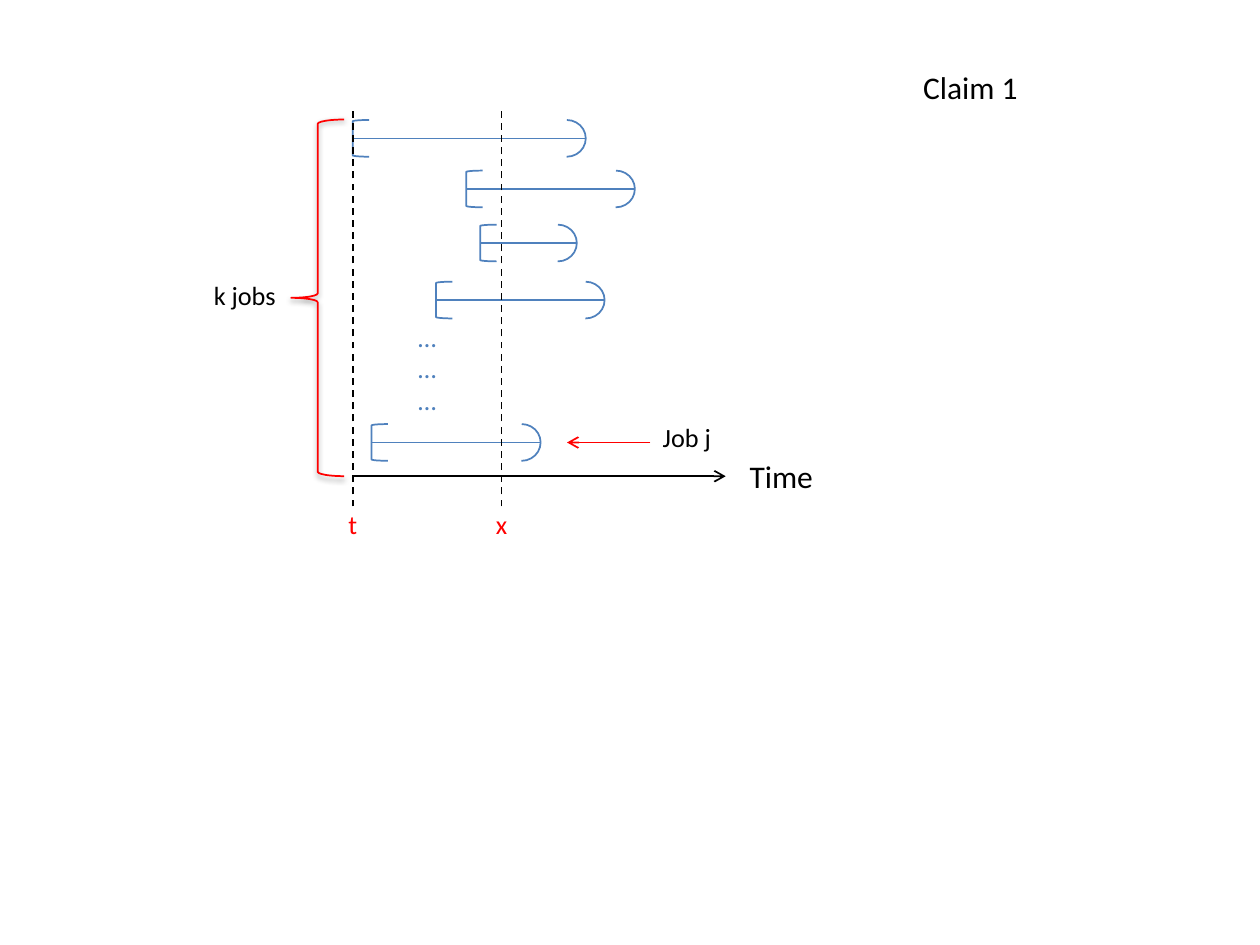
from dataclasses import dataclass

from lxml.etree import SubElement
from pptx import Presentation
from pptx.dml.color import RGBColor
from pptx.enum.dml import MSO_LINE_DASH_STYLE as DASH
from pptx.enum.shapes import MSO_CONNECTOR as CONN, MSO_SHAPE as SHAPE
from pptx.enum.text import MSO_AUTO_SIZE as FIT, PP_ALIGN as ALIGN
from pptx.oxml.ns import qn
from pptx.util import Cm, Pt


@dataclass(frozen=True)
class Theme:
    font: str = "Calibri"
    ink: RGBColor = RGBColor(0, 0, 0)
    job: RGBColor = RGBColor(0x4F, 0x81, 0xBD)
    mark: RGBColor = RGBColor(0xFF, 0, 0)
    large: Pt = Pt(18)
    small: Pt = Pt(15)
    line: Pt = Pt(1)


THEME = Theme()

# start, end and height of each job on the time axis, in cm
JOBS = [
    (7.11, 11.81, 2.79),
    (9.4, 12.8, 3.81),
    (7.49, 10.9, 8.92),
    (8.79, 12.19, 6.05),
    (9.68, 11.63, 4.9),
]
BRACKET_W, BRACKET_H, ARC_W = 0.33, 0.74, 0.76
T_X, X_X = 7.11, 10.11
AXIS_Y = 9.6


def set_line(line, color):
    line.color.rgb = color
    line.width = THEME.line


def add_line(shapes, start, end, color, arrow=False, dash=None):
    ends = [Cm(v) for v in (*start, *end)]
    c = shapes.add_connector(CONN.STRAIGHT, *ends)
    set_line(c.line, color)
    if dash:
        c.line.dash_style = dash
    if arrow:
        SubElement(c.line._get_or_add_ln(), qn("a:tailEnd"), type="arrow")
    SubElement(c._element.spPr, qn("a:effectLst"))
    return c


def add_outline(shapes, kind, box, color):
    """Add an unfilled preset shape."""
    sp = shapes.add_shape(kind, *[Cm(v) for v in box])
    sp.shadow.inherit = False
    sp.fill.background()
    set_line(sp.line, color)
    return sp


def add_job(shapes, start, end, y):
    """Draw a half-open interval [start, end) as one group."""
    parts = shapes.add_group_shape().shapes
    top = y - BRACKET_H / 2
    arc = add_outline(parts, SHAPE.ARC, (end - ARC_W, top, ARC_W, BRACKET_H), THEME.job)
    arc.adjustments[0], arc.adjustments[1] = 162, 54.72
    add_line(parts, (start, y), (end, y), THEME.job)
    add_outline(parts, SHAPE.LEFT_BRACKET, (start, top, BRACKET_W, BRACKET_H), THEME.job)


def add_brace(shapes, box):
    sp = add_outline(shapes, SHAPE.LEFT_BRACE, box, THEME.mark)
    effects = sp._element.spPr.find(qn("a:effectLst"))
    shadow = SubElement(effects, qn("a:outerShdw"), blurRad=str(Pt(3.1)),
                        dist=str(Pt(1.6)), dir="5400000", rotWithShape="0")
    color = SubElement(shadow, qn("a:srgbClr"), val=str(THEME.ink))
    SubElement(color, qn("a:alpha"), val="38000")


def add_label(shapes, lines, box, size, color=THEME.ink, align=ALIGN.LEFT):
    tf = shapes.add_textbox(*[Cm(v) for v in box]).text_frame
    tf.word_wrap = True
    tf.auto_size = FIT.SHAPE_TO_FIT_TEXT
    for i, text in enumerate(lines):
        p = tf.add_paragraph() if i else tf.paragraphs[0]
        p.alignment = align
        r = p.add_run()
        r.text = text
        r.font.color.rgb = color
        for name, value in {"name": THEME.font, "size": size}.items():
            setattr(r.font, name, value)


def main():
    prs = Presentation()
    prs.slide_width, prs.slide_height = Cm(25.4), Cm(19.05)
    shapes = prs.slides.add_slide(prs.slide_layouts[6]).shapes

    add_line(shapes, (T_X, AXIS_Y), (14.63, AXIS_Y), THEME.ink, arrow=True)
    for job in JOBS:
        add_job(shapes, *job)
    add_label(shapes, ["Time"], (14.86, 9.09, 1.98, 1.04), THEME.large)
    add_label(shapes, ["Claim 1"], (18.36, 1.24, 5.64, 1.02), THEME.large)

    for name, x in (("t", T_X), ("x", X_X)):
        add_line(shapes, (x, 10.21), (x, 2.24), THEME.ink, dash=DASH.DASH)
        add_label(shapes, [name], (x - 0.72, 10.13, 1.44, 0.89), THEME.small,
                  THEME.mark, ALIGN.CENTER)

    add_brace(shapes, (5.87, 2.41, 1.07, AXIS_Y - 2.41))
    add_label(shapes, ["k jobs"], (4.01, 5.51, 1.85, 0.89), THEME.small,
              align=ALIGN.CENTER)
    add_line(shapes, (13.11, 8.92), (11.43, 8.92), THEME.mark, arrow=True)
    add_label(shapes, ["Job j"], (13.11, 8.36, 1.52, 0.89), THEME.small)
    add_label(shapes, ["…"] * 3, (T_X, 6.35, X_X - T_X, 2.18), THEME.small,
              THEME.job, ALIGN.CENTER)

    prs.save("out.pptx")


if __name__ == "__main__":
    main()
